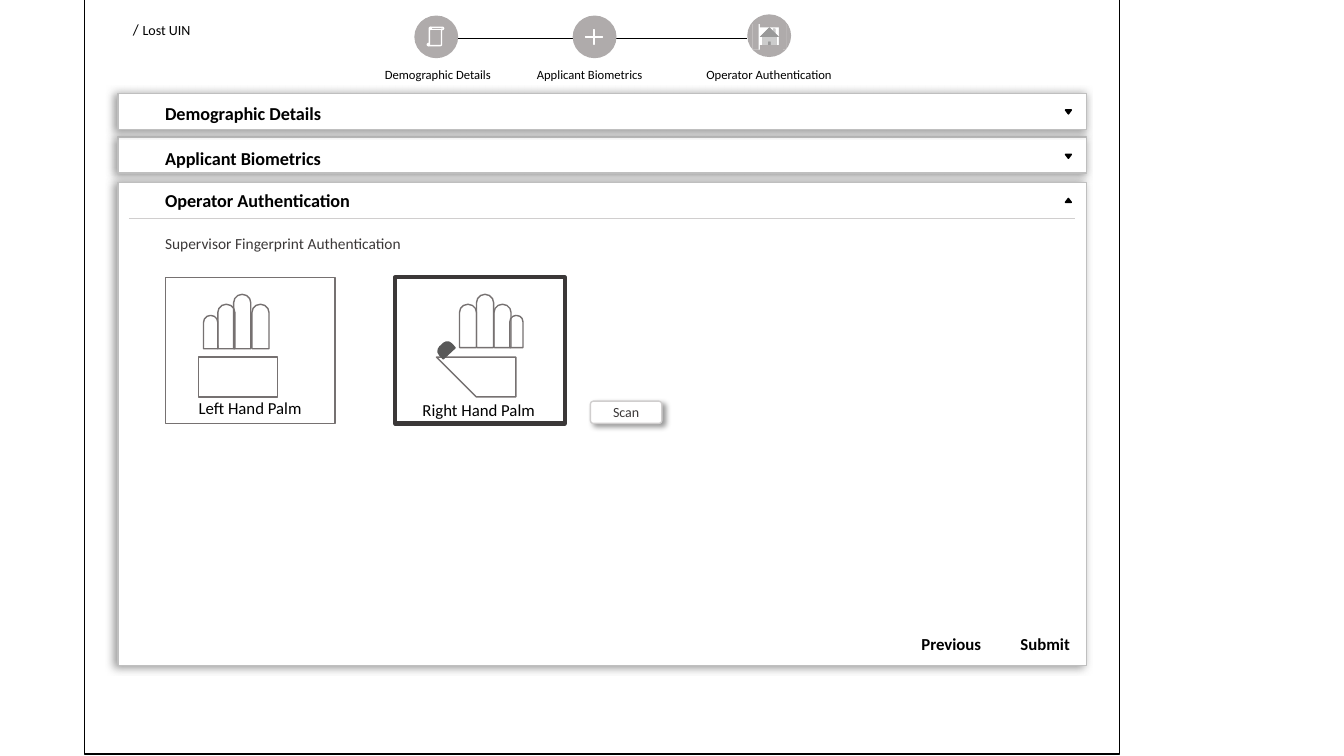
"""Builds the operator authentication screen of a lost UIN wireframe."""
from lxml import etree
from pptx import Presentation
from pptx.dml.color import RGBColor
from pptx.enum.shapes import MSO_CONNECTOR, MSO_SHAPE
from pptx.enum.text import MSO_ANCHOR, PP_ALIGN
from pptx.oxml.ns import qn
from pptx.util import Cm, Pt

RECT, ROUND, OVAL = MSO_SHAPE.RECTANGLE, MSO_SHAPE.ROUNDED_RECTANGLE, MSO_SHAPE.OVAL
TRIANGLE, SCROLL = MSO_SHAPE.ISOSCELES_TRIANGLE, MSO_SHAPE.VERTICAL_SCROLL
PLUS, HOME = MSO_SHAPE.MATH_PLUS, MSO_SHAPE.ACTION_BUTTON_HOME
FINGER, CARD = MSO_SHAPE.ROUND_2_SAME_RECTANGLE, MSO_SHAPE.FLOWCHART_PROCESS
STRAIGHT = MSO_CONNECTOR.STRAIGHT
LEFT, CENTER, MIDDLE = PP_ALIGN.LEFT, PP_ALIGN.CENTER, MSO_ANCHOR.MIDDLE
C = {"black": "000000", "white": "FFFFFF", "border": "BFBFBF", "rule": "D0CECE",
     "step": "AFABAB", "hand": "767171", "dark": "3B3838", "thumb": "595959",
     "shadow": "808080"}

prs = Presentation()
prs.slide_width, prs.slide_height = Cm(33.87), Cm(19.05)
s = prs.slides.add_slide(prs.slide_layouts[6])


def shape(kind, x, y, w, h, fill=None, line=None, width=1, adj=(), rot=0, shadow=None):
    sp = s.shapes.add_shape(kind, Cm(x), Cm(y), Cm(w), Cm(h))
    sp.shadow.inherit = False
    sp.rotation = rot
    for i, value in enumerate(adj):
        sp.adjustments[i] = value
    if fill:
        sp.fill.solid()
        sp.fill.fore_color.rgb = RGBColor.from_string(C[fill])
    else:
        sp.fill.background()
    if line:
        sp.line.color.rgb = RGBColor.from_string(C[line])
        sp.line.width = Pt(width)
    else:
        sp.line.fill.background()
    if shadow:
        color, alpha, blur, dist, angle = shadow
        effects = sp._element.spPr.find(qn("a:effectLst"))
        outer = etree.SubElement(effects, qn("a:outerShdw"), blurRad=str(Pt(blur)),
                                 dist=str(Pt(dist)), dir=str(angle * 60000),
                                 algn="ctr", rotWithShape="0")
        rgb = etree.SubElement(outer, qn("a:srgbClr"), val=C[color])
        etree.SubElement(rgb, qn("a:alpha"), val=str(alpha * 1000))
    return sp


def write(sp, runs, color="black", bold=False, align=LEFT, wrap=True):
    tf = sp.text_frame
    tf.word_wrap = wrap
    p = tf.paragraphs[0]
    p.alignment = align
    for text, size in runs:
        r = p.add_run()
        r.text = text
        r.font.name, r.font.size, r.font.bold = "Calibri", Pt(size), bold
        r.font.color.rgb = RGBColor.from_string(C[color])


panels = [("Applicant Biometrics", 3.45, 0.91, 3.58, 3.89, 180),
          ("Operator Authentication", 4.6, 12.17, 4.65, 5, 0),
          ("Demographic Details", 2.36, 0.91, 2.46, 2.77, 180)]
for title, top, height, title_top, arrow_top, rot in panels:
    shape(ROUND, 2.97, top, 24.41, height, "white", "border", adj=[0],
          shadow=("shadow", 80, 6, 2, 170))
    shape(TRIANGLE, 26.85, arrow_top, 0.15, 0.1, "black", "black", rot=rot)
    write(s.shapes.add_textbox(Cm(3.91), Cm(title_top), Cm(5.66), Cm(0.81)),
          [(title, 13)], bold=True)
shape(RECT, 2.13, -0.05, 26.09, 19.05, line="black")

for x1, x2, y, color in [(11.53, 14.45, 0.97, "black"), (15.52, 18.82, 0.97, "black"),
                         (3.25, 27.1, 5.51, "rule")]:
    rule = s.shapes.add_connector(STRAIGHT, Cm(x1), Cm(y), Cm(x2), Cm(y))
    rule.line.color.rgb = RGBColor.from_string(C[color])
    rule.line.width = Pt(0.5)
    etree.SubElement(rule._element.spPr, qn("a:effectLst"))

steps = [("Demographic Details", 10.46, 0.41, 9.45, 3.33),
         ("Applicant Biometrics", 14.45, 0.41, 13.28, 3.38),
         ("Operator Authentication", 18.85, 0.38, 17.55, 3.71)]
for label, x, y, label_x, label_w in steps:
    shape(OVAL, x, y, 1.07, 1.04, "step", "step")
    write(s.shapes.add_textbox(Cm(label_x), Cm(1.57), Cm(label_w), Cm(0.64)), [(label, 9)])
shape(SCROLL, 10.77, 0.69, 0.41, 0.46, "step", "white")
shape(PLUS, 14.68, 0.69, 0.58, 0.48, "white", "white", adj=[0.042])
shape(HOME, 18.97, 0.61, 0.84, 0.64, "white")
for x, y, w, h in [(18.97, 0.61, 0.15, 0.64), (19.63, 0.61, 0.18, 0.64),
                   (19.15, 1.14, 0.58, 0.13), (19.15, 0.56, 0.58, 0.13)]:
    shape(RECT, x, y, w, h, "step")

notes = [([("/", 11), (" ", 12), ("Lost UIN", 10)], 3.1, 0.36, 1.98, "black", False, LEFT),
         ([("Supervisor Fingerprint Authentication", 11)], 3.91, 5.77, 6.5, "dark", False, LEFT),
         ([("Previous", 12)], 22.96, 15.85, 2.03, "black", True, CENTER),
         ([("Submit", 12)], 25.45, 15.85, 1.78, "black", True, CENTER)]
for runs, x, y, w, color, bold, align in notes:
    write(s.shapes.add_textbox(Cm(x), Cm(y), Cm(w), Cm(0.76)), runs, color, bold, align, False)

left_palm = [[(7.14, 8.61)], [(7.19, 8.61), (7.24, 8.64), (7.29, 8.66)], [(7.32, 8.69)],
             [(7.39, 8.76), (7.39, 8.89), (7.34, 8.97)], [(6.78, 9.63)], [(6.78, 9.65)],
             [(6.71, 9.8), (6.55, 9.91), (6.4, 9.91)], [(5.56, 9.91)],
             [(5.33, 9.91), (5.16, 9.73), (5.16, 9.5)], [(5.16, 8.79)], [(6.81, 8.79)],
             [(6.81, 8.92)], [(6.99, 8.69)], [(7.04, 8.66), (7.09, 8.61), (7.14, 8.61)]]
right_palm = [[(11.28, 8.61)], [(11.33, 8.61), (11.4, 8.64), (11.43, 8.71)], [(11.58, 8.92)],
              [(11.58, 8.76)], [(13.18, 8.76)], [(13.21, 9.65)],
              [(13.21, 9.8), (13.06, 9.93), (12.9, 9.93)], [(11.89, 9.93)],
              [(11.73, 9.93), (11.61, 9.83), (11.58, 9.7)], [(11.56, 9.63)], [(11.1, 8.94)],
              [(11.02, 8.84), (11.05, 8.71), (11.15, 8.66)],
              [(11.2, 8.64), (11.23, 8.61), (11.28, 8.61)]]
hands = [("Left Hand Palm", 4.17, 4.17, 9.91, "hand", 1, 8.79, left_palm,
          [(5.13, 7.95, 0.36), (5.49, 7.67, 0.43), (5.89, 7.42, 0.43), (6.35, 7.67, 0.43)]),
         ("Right Hand Palm", 9.96, 9.93, 9.96, "dark", 3, 8.76, right_palm,
          [(11.58, 7.67, 0.43), (12.01, 7.42, 0.43), (12.45, 7.67, 0.43), (12.85, 7.95, 0.33)])]
for label, x, label_x, label_y, border, width, knuckles, palm, fingers in hands:
    for finger_x, top, finger_w in fingers:
        shape(FINGER, finger_x, top, finger_w, knuckles - top, line="hand", adj=[0.478, 0.033])
    points = list(palm[0])
    for segment in palm[1:]:
        if len(segment) == 1:
            points += segment
            continue
        curve = [points[-1]] + segment
        for t in [i / 8 for i in range(1, 9)]:
            weights = [(1 - t) ** 3, 3 * t * (1 - t) ** 2, 3 * t ** 2 * (1 - t), t ** 3]
            points.append(tuple(sum(k * pt[axis] for k, pt in zip(weights, curve))
                                for axis in (0, 1)))
    outline = s.shapes.build_freeform(*points[0], scale=Cm(1))
    outline.add_line_segments(points[1:], close=True)
    sp = outline.convert_to_shape()
    sp.shadow.inherit = False
    sp.fill.background()
    sp.line.color.rgb = RGBColor.from_string(C["hand"])
    sp.line.width = Pt(1)
    shape(CARD, x, 6.99, 4.27, 3.68, line=border, width=width)
    write(s.shapes.add_textbox(Cm(label_x), Cm(label_y), Cm(4.27), Cm(0.76)),
          [(label, 12)], align=CENTER)
shape(FINGER, 11.02, 8.66, 0.41, 0.28, "thumb", "thumb", adj=[0.5, 0], rot=317.1)

scan = shape(ROUND, 14.88, 10.11, 1.8, 0.56, "white", "rule", adj=[0.135],
             shadow=("black", 40, 4, 3, 45))
write(scan, [("Scan", 10)], "dark", align=CENTER)
scan.text_frame.vertical_anchor = MIDDLE

prs.save("out.pptx")
